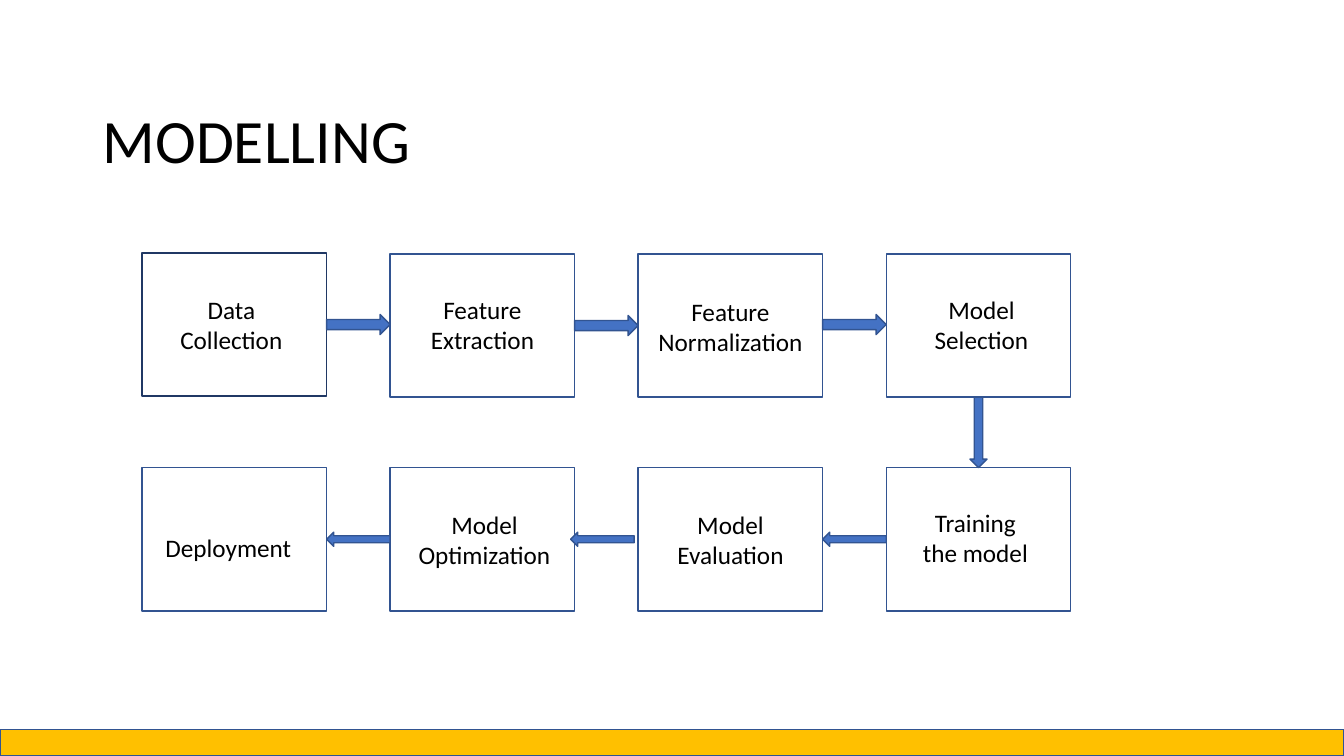
import pptx
import pptx.util
import pptx.dml.color
import pptx.enum.shapes
import pptx.enum.text

Inch = pptx.util.Inches
Pt = pptx.util.Pt
Kind = pptx.enum.shapes.MSO_SHAPE
Align = pptx.enum.text.PP_ALIGN
Mid = pptx.enum.text.MSO_ANCHOR.MIDDLE


def tint(code):
    return pptx.dml.color.RGBColor.from_string(code)


class Deck:
    """Hold the style and the current slide, and draw each kind of element."""

    font = {"name": "Calibri"}
    edge = "325491"
    ink = "000000"

    def __init__(self, wide, high):
        self.file = pptx.Presentation()
        self.file.slide_width = Inch(wide)
        self.file.slide_height = Inch(high)
        self.slide = self.file.slides.add_slide(self.file.slide_layouts[6])

    def apply(self, item, form):
        for key, value in form.items():
            setattr(item, key, value)

    def shape(self, kind, area, fill, edge=None):
        item = self.slide.shapes.add_shape(kind, *map(Inch, area))
        item.shadow.inherit = False
        item.fill.solid()
        item.fill.fore_color.rgb = tint(fill)
        item.line.color.rgb = tint(edge or self.edge)
        item.line.width = Pt(1)

    def text(self, lines, area, size, **form):
        frame = self.slide.shapes.add_textbox(*map(Inch, area)).text_frame
        self.apply(frame, {"word_wrap": True, "vertical_anchor": Mid})
        frame.text = "\n".join(lines)
        for para in frame.paragraphs:
            self.apply(para, form)
            for run in para.runs:
                self.apply(run.font, {**self.font, "size": Pt(size)})
                run.font.color.rgb = tint(self.ink)


deck = Deck(13.33, 7.5)
deck.shape(Kind.RECTANGLE, (0, 7.24, 13.33, 0.26), "FFC000")
deck.text(["MODELLING"], (0.92, 1.04, 11.5, 0.77), 44, line_spacing=0.9)

left, step, wide, high = 1.41, 2.46, 1.83, 1.42
gap = step - wide
top, low = 2.52, 4.64
blue = "4472C4"

# Each step: column, box top, label middle, label shift, lines
steps = [
    (0, top - 0.01, 3.22, -0.03, ["Data", "Collection"]),
    (1, top, 3.22, 0, ["Feature", "Extraction"]),
    (2, top, 3.24, 0, ["Feature", "Normalization"]),
    (3, top, 3.22, 0.03, ["Model", "Selection"]),
    (3, low, 5.33, -0.03, ["Training", "the model"]),
    (2, low, 5.35, 0, ["Model", "Evaluation"]),
    (1, low, 5.35, 0.02, ["Model", "Optimization"]),
    (0, low, 5.43, -0.06, ["Deployment"]),
]
for col, y, mid, shift, lines in steps:
    x = left + col * step
    edge = "203864" if lines[0] == "Data" else None
    deck.shape(Kind.RECTANGLE, (x, y, wide, high), "FFFFFF", edge)
    tall = 0.1 + 0.3 * len(lines)
    deck.text(lines, (x + shift, mid - tall / 2, wide, tall), 18,
              alignment=Align.CENTER)

for col, drop, shift in [(0, 0, 0), (1, 0.01, -0.04), (2, 0, 0)]:
    x = left + col * step + wide
    deck.shape(Kind.RIGHT_ARROW, (x, 3.12 + drop, gap, 0.2), blue)
    deck.shape(Kind.LEFT_ARROW, (x + shift, 5.28, gap, 0.14), blue)
deck.shape(Kind.DOWN_ARROW, (9.62, top + high, 0.17, low - top - high), blue)

deck.file.save("out.pptx")
